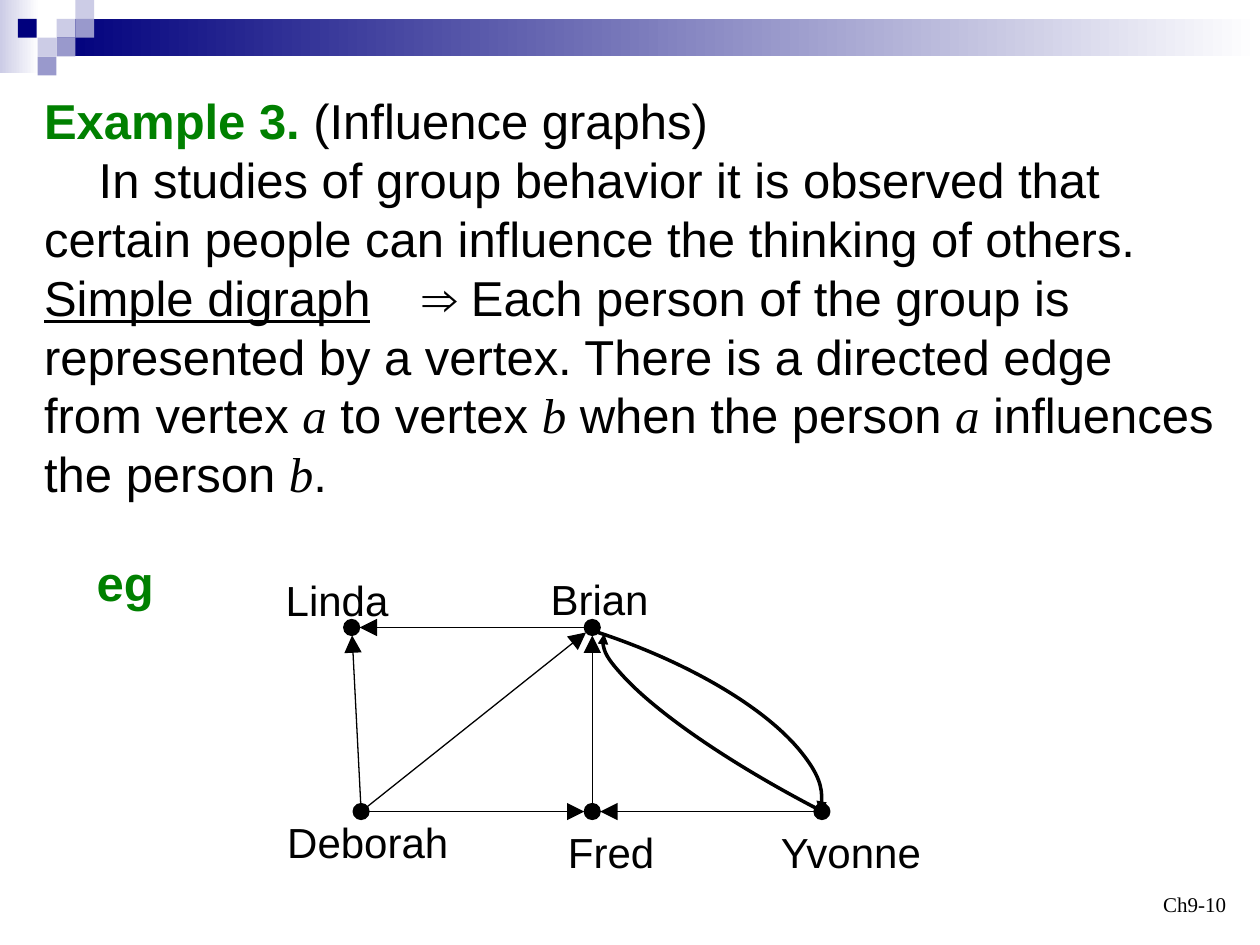
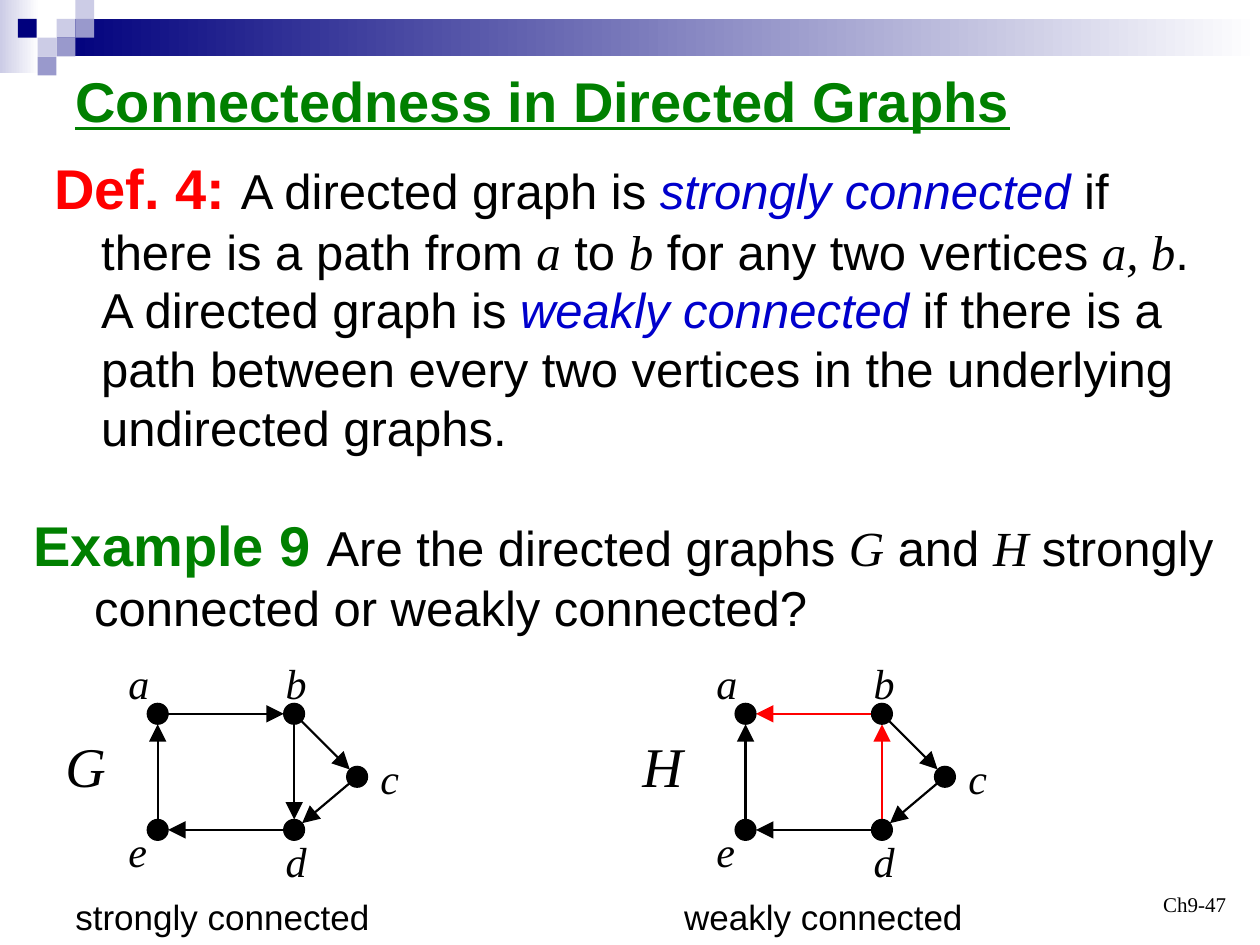
import math

from lxml import etree
from pptx import Presentation
from pptx.dml.color import RGBColor
from pptx.enum.shapes import MSO_CONNECTOR, MSO_SHAPE
from pptx.enum.text import MSO_ANCHOR, MSO_AUTO_SIZE, PP_ALIGN
from pptx.oxml.ns import qn
from pptx.util import Cm, Pt

RECTANGLE, OVAL, ARC = MSO_SHAPE.RECTANGLE, MSO_SHAPE.OVAL, MSO_SHAPE.ARC
STRAIGHT = MSO_CONNECTOR.STRAIGHT
TOP, MIDDLE, BOTTOM = MSO_ANCHOR.TOP, MSO_ANCHOR.MIDDLE, MSO_ANCHOR.BOTTOM
LEFT, RIGHT = PP_ALIGN.LEFT, PP_ALIGN.RIGHT
NO_AUTOFIT = MSO_AUTO_SIZE.NONE

BLACK = RGBColor(0x00, 0x00, 0x00)
WHITE = RGBColor(0xFF, 0xFF, 0xFF)
RED = RGBColor(0xFF, 0x00, 0x00)
GREEN = RGBColor(0x00, 0x80, 0x00)
BLUE = RGBColor(0x00, 0x00, 0xCC)
NAVY = RGBColor(0x00, 0x00, 0x7D)
LAVENDER = RGBColor(0xCC, 0xCC, 0xE6)
VIOLET = RGBColor(0x99, 0x99, 0xCC)

# Text styles: font, size, colour, then any of bold, italic, underline
SANS, SERIF = "Arial", "Times New Roman"
STYLES = {
    "title": (SANS, 32, GREEN, "bu"),
    "definition": (SANS, 32, RED, "b"),
    "example": (SANS, 32, GREEN, "b"),
    "lead": (SANS, 28, GREEN, "b"),
    "plain": (SANS, 28, BLACK, ""),
    "underlined": (SANS, 28, BLACK, "u"),
    "term": (SANS, 28, BLUE, "i"),
    "math": (SERIF, 28, BLACK, "i"),
    "person": (SANS, 24, BLACK, ""),
    "vertex": (SERIF, 24, BLACK, "i"),
    "graph": (SERIF, 32, BLACK, "i"),
    "caption": (SANS, 20, BLACK, ""),
    "footer": (SERIF, 12, BLACK, ""),
}
ARROW_TAB = Cm(7.11)  # where the text after "Simple digraph" goes on


def fill_text(shape, box, paragraphs, wrap=True, align=LEFT, anchor=TOP):
    """Place a text shape; a paragraph is (left margin, first indent, runs)."""
    shape.left, shape.top, shape.width, shape.height = map(Cm, box)
    frame = shape.text_frame
    frame.auto_size = NO_AUTOFIT
    frame.word_wrap = wrap
    frame.vertical_anchor = anchor
    frame.margin_left = frame.margin_right = Cm(0.25)
    frame.margin_top = frame.margin_bottom = Cm(0.13)
    for number, (margin, indent, runs) in enumerate(paragraphs):
        paragraph = frame.add_paragraph() if number else frame.paragraphs[0]
        properties = paragraph._p.get_or_add_pPr()
        properties.set("marL", str(Cm(margin)))
        properties.set("indent", str(Cm(indent)))
        etree.SubElement(properties, qn("a:buNone"))
        if any("\t" in text for text, style in runs):
            tabs = etree.SubElement(properties, qn("a:tabLst"))
            etree.SubElement(tabs, qn("a:tab"), pos=str(ARROW_TAB), algn="l")
        paragraph.alignment = align
        paragraph.space_before = Pt(0)
        for text, style in runs:
            run = paragraph.add_run()
            run.text = text
            font_name, size, color, marks = STYLES[style]
            run.font.name = font_name
            run.font.size = Pt(size)
            run.font.color.rgb = color
            run.font.bold = "b" in marks
            run.font.italic = "i" in marks
            run.font.underline = "u" in marks


def style_arrow(shape, color, width, head_size):
    """Colour a line, put a triangle at its end and drop its shadow."""
    shape.line.color.rgb = color
    shape.line.width = Pt(width)
    properties = shape.element.spPr
    etree.SubElement(properties.find(qn("a:ln")), qn("a:tailEnd"),
                     type="triangle", w=head_size, len=head_size)
    etree.SubElement(properties, qn("a:effectLst"))


presentation = Presentation()
presentation.slide_width, presentation.slide_height = Cm(25.4), Cm(19.05)
content_layout = presentation.slide_layouts[1]
influence_slide = presentation.slides.add_slide(content_layout)
connected_slide = presentation.slides.add_slide(content_layout)

# Band and squares, moved to the master so that both slides share them
SQUARE = 0.38
band_parts = [
    (0, 0, 0.79, 1.47, LAVENDER, True),
    (1.14, SQUARE, 24.26, 0.76, NAVY, True),
    (0.36, SQUARE, SQUARE, SQUARE, NAVY, False),
]
for column, row, color in [(3, 1, LAVENDER), (4, 0, LAVENDER), (4, 1, VIOLET),
                           (2, 2, LAVENDER), (3, 2, VIOLET), (2, 3, VIOLET)]:
    band_parts.append((column * SQUARE, row * SQUARE, SQUARE, SQUARE, color, False))
master_tree = presentation.slide_master.element.cSld.spTree
for position, (left, top, width, height, color, fades) in enumerate(band_parts):
    shape = influence_slide.shapes.add_shape(
        RECTANGLE, Cm(left), Cm(top), Cm(width), Cm(height))
    shape.shadow.inherit = False
    shape.line.fill.background()
    if fades:
        shape.fill.gradient()
        shape.fill.gradient_angle = 0
        for stop, stop_color in zip(shape.fill.gradient_stops, (color, WHITE)):
            stop.color.rgb = stop_color
    else:
        shape.fill.solid()
        shape.fill.fore_color.rgb = color
    master_tree.insert(2 + position, shape.element)

# Influence graphs: text
unused_title = influence_slide.shapes.title.element
unused_title.getparent().remove(unused_title)
fill_text(influence_slide.placeholders[1], (0.64, 1.7, 24.13, 8.56), [
    (0, 0, [("Example 3.", "lead"), (" (Influence graphs)", "plain")]),
    (0, 1.1, [("In studies of group behavior it is observed that certain people "
               "can influence the thinking of others.", "plain")]),
    (0, 0, [
        ("Simple digraph", "underlined"),
        ("\t⇒ Each person of the group is represented by a vertex. "
         "There is a directed edge from vertex ", "plain"),
        ("a", "math"), (" to vertex ", "plain"), ("b", "math"),
        (" when the person ", "plain"), ("a", "math"),
        (" influences the person ", "plain"), ("b", "math"), (".", "plain"),
    ]),
])

# Connectedness: title and definition
fill_text(connected_slide.shapes.title, (1.27, 0.84, 22.86, 2.34),
          [(0, 0, [("Connectedness in Directed Graphs", "title")])], anchor=MIDDLE)
fill_text(connected_slide.placeholders[1], (0.84, 2.97, 23.93, 6.35), [
    (0.95, -0.95, [
        ("Def. 4: ", "definition"), ("A directed graph is ", "plain"),
        ("strongly connected", "term"), (" if there is a path from ", "plain"),
        ("a", "math"), (" to ", "plain"), ("b", "math"),
        (" for any two vertices ", "plain"), ("a, b", "math"), (".", "plain"),
    ]),
    (0.95, 0, [
        ("A directed graph is ", "plain"), ("weakly connected", "term"),
        (" if there is a path between every two vertices in the underlying "
         "undirected graphs.", "plain"),
    ]),
])

# Connectedness: example question
question = connected_slide.shapes.add_textbox(0, 0, 0, 0)
fill_text(question, (0.43, 10.16, 24.56, 2.79), [
    (1.22, -1.22, [
        ("Example 9 ", "example"), ("Are the directed graphs ", "plain"),
        ("G", "math"), (" and ", "plain"), ("H", "math"),
        (" strongly connected or weakly connected?", "plain"),
    ]),
])

# Vertices: centre of the dot, then left, top and width of the label
people = {
    "Linda": (7.09, 12.65, 5.51, 11.46, 2.57),
    "Brian": (11.94, 12.65, 10.85, 11.43, 2.49),
    "Deborah": (7.28, 16.36, 5.54, 16.33, 3.76),
    "Fred": (11.94, 16.36, 11.2, 16.54, 2.24),
    "Yvonne": (16.57, 16.36, 15.49, 16.54, 3.38),
}
vertices = {
    "a": (3.18, 14.39, 2.34, 13.13, 0.91),
    "b": (5.93, 14.39, 5.51, 13.13, 0.91),
    "c": (7.2, 15.66, 7.42, 15.04, 0.91),
    "d": (5.93, 16.73, 5.51, 16.71, 0.91),
    "e": (3.18, 16.73, 2.34, 16.51, 0.91),
}
influences = [("Brian", "Linda", BLACK), ("Deborah", "Linda", BLACK),
              ("Fred", "Brian", BLACK), ("Deborah", "Brian", BLACK),
              ("Deborah", "Fred", BLACK), ("Yvonne", "Fred", BLACK)]
common_edges = [(start, end, BLACK) for start, end in ("ea", "de", "cd", "bc")]
g_edges = common_edges + [("a", "b", BLACK), ("b", "d", BLACK)]
h_edges = common_edges + [("b", "a", RED), ("d", "b", RED)]

# Graphs: slide, vertices, edges, shift to the right, dot radius, line width, label style
graphs = [
    (influence_slide, people, influences, 0, 0.16, 0.75, "person"),
    (connected_slide, vertices, g_edges, 0, 0.21, 1.25, "vertex"),
    (connected_slide, vertices, h_edges, 11.85, 0.21, 1.25, "vertex"),
]
for slide, nodes, edges, shift, radius, line_width, label_style in graphs:
    for start, end, color in edges:
        start_x, start_y = nodes[start][:2]
        end_x, end_y = nodes[end][:2]
        # The arrow stops at the rim of the dot it points to
        reach = 1 - radius / math.hypot(end_x - start_x, end_y - start_y)
        connector = slide.shapes.add_connector(
            STRAIGHT, Cm(start_x + shift), Cm(start_y),
            Cm(start_x + shift + reach * (end_x - start_x)),
            Cm(start_y + reach * (end_y - start_y)))
        style_arrow(connector, color, line_width, "lg")
    for name, (x, y, label_left, label_top, label_width) in nodes.items():
        dot = slide.shapes.add_shape(
            OVAL, Cm(x + shift - radius), Cm(y - radius), Cm(2 * radius), Cm(2 * radius))
        dot.shadow.inherit = False
        dot.fill.solid()
        dot.fill.fore_color.rgb = BLACK
        dot.line.color.rgb = BLACK
        dot.line.width = Pt(0.75)
        label = slide.shapes.add_textbox(0, 0, 0, 0)
        fill_text(label, (label_left + shift, label_top, label_width, 1.27),
                  [(0, 0, [(name, label_style)])], wrap=False)

# Curved arrows between Brian and Yvonne: quarter arcs, turned into place
for left, top, width, height, angle in [(5.87, 12.62, 10.92, 4.14, 17.9),
                                        (11.56, 14.15, 11.33, 2.39, 207)]:
    arc = influence_slide.shapes.add_shape(ARC, Cm(left), Cm(top), Cm(width), Cm(height))
    arc.rotation = angle
    arc.fill.background()
    style_arrow(arc, BLACK, 2, "med")

# Single labels, graph names and captions
single_labels = [
    (influence_slide, (1.7, 11, 1.65, 1.45), "eg", "lead"),
    (connected_slide, (1.07, 14.61, 1.32, 1.63), "G", "graph"),
    (connected_slide, (12.7, 14.61, 1.32, 1.63), "H", "graph"),
    (connected_slide, (1.27, 17.93, 6.55, 1.12), "strongly connected", "caption"),
    (connected_slide, (13.54, 17.93, 6.55, 1.12), "weakly connected", "caption"),
]
for slide, box, text, style in single_labels:
    label = slide.shapes.add_textbox(0, 0, 0, 0)
    fill_text(label, box, [(0, 0, [(text, style)])], wrap=style == "caption")

# Page numbers
for slide, page in [(influence_slide, "Ch9-10"), (connected_slide, "Ch9-47")]:
    footer = slide.shapes.add_textbox(0, 0, 0, 0)
    fill_text(footer, (19.05, 17.35, 5.92, 1.27), [(0, 0, [(page, "footer")])],
              align=RIGHT, anchor=BOTTOM)

presentation.save("out.pptx")
